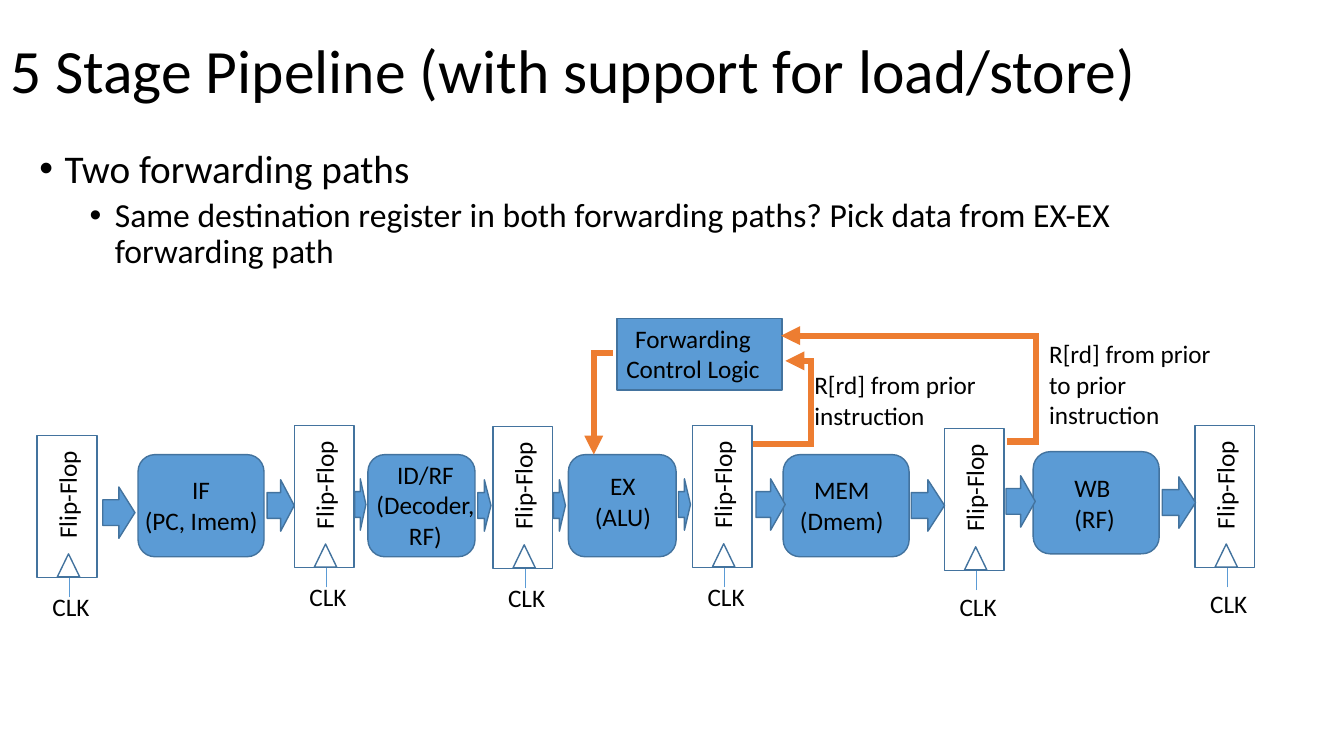
"""Build the slide on forwarding in a five-stage pipeline."""
from lxml.etree import SubElement
from pptx import Presentation
from pptx.dml.color import RGBColor
from pptx.enum.shapes import MSO_CONNECTOR as LINK, MSO_SHAPE as SHAPE
from pptx.enum.text import MSO_ANCHOR as ANCHOR, MSO_AUTO_SIZE as FIT, PP_ALIGN as ALIGN
from pptx.oxml.ns import qn
from pptx.util import Pt

FONT = "Calibri"
BLACK, BLUE, OUTLINE, ORANGE = "000000", "5B9BD5", "43739E", "ED7D31"
FLOP_WIDTH, FLOP_HEIGHT = 42.7, 101.6
STAGE_HEIGHT, ARROW_HEIGHT = 73, 36.7


def color(value):
    """Turn a hex string into a colour."""
    return RGBColor.from_string(value)


def place(item, left, top, width, height):
    """Set the position and size of an element in points."""
    item.left, item.top = Pt(left), Pt(top)
    item.width, item.height = Pt(width), Pt(height)


class Drawing:
    """Hold the style and the current slide."""

    def __init__(self, slide):
        """Keep the slide that receives the elements."""
        self.slide = slide
        self.shapes = slide.shapes

    def format(self, para, size, align=ALIGN.LEFT):
        """Apply font and alignment to a paragraph."""
        para.alignment = align
        for span in para.runs:
            span.font.name, span.font.size = FONT, Pt(size)
            span.font.color.rgb = color(BLACK)

    def title(self, text, *bounds):
        """Fill the title placeholder."""
        box = self.shapes.title
        place(box, *bounds)
        frame = box.text_frame
        frame.text = text
        frame.auto_size, frame.vertical_anchor = FIT.NONE, ANCHOR.MIDDLE
        frame.paragraphs[0].line_spacing = 0.9
        self.format(frame.paragraphs[0], 44)

    def bullets(self, items, *bounds):
        """Fill the body placeholder with (text, level, size, gap) items."""
        box = self.slide.placeholders[1]
        place(box, *bounds)
        frame = box.text_frame
        frame.text = "\n".join(item[0] for item in items)
        frame.auto_size, frame.vertical_anchor = FIT.NONE, ANCHOR.TOP
        for para, (_, level, size, gap) in zip(frame.paragraphs, items):
            para.level, para.line_spacing, para.space_before = level, 0.9, Pt(gap)
            self.format(para, size)
            properties = para._p.get_or_add_pPr()
            properties.set("marL", str(Pt(18 + 36 * level)))
            properties.set("indent", str(Pt(-18)))
            SubElement(properties, qn("a:buFont")).set("typeface", "Arial")
            SubElement(properties, qn("a:buChar")).set("char", "•")

    def label(self, text, *bounds, align=ALIGN.LEFT, wrap=False, rotation=0):
        """Add a text box."""
        box = self.shapes.add_textbox(*map(Pt, bounds))
        box.rotation = rotation
        frame = box.text_frame
        frame.text = text
        frame.word_wrap, frame.auto_size = wrap, FIT.SHAPE_TO_FIT_TEXT
        for para in frame.paragraphs:
            self.format(para, 18, align)

    def shape(self, kind, *bounds, fill=None):
        """Add an outlined preset shape."""
        shape = self.shapes.add_shape(kind, *map(Pt, bounds))
        shape.shadow.inherit = False
        shape.line.color.rgb, shape.line.width = color(OUTLINE), Pt(1)
        if fill:
            shape.fill.solid()
            shape.fill.fore_color.rgb = color(fill)
        else:
            shape.fill.background()

    def line(self, *ends, kind=LINK.STRAIGHT, hue=BLUE, width=0.5):
        """Add a connector without a shadow."""
        link = self.shapes.add_connector(kind, *map(Pt, ends))
        link.line.color.rgb, link.line.width = color(hue), Pt(width)
        SubElement(link._element.spPr, qn("a:effectLst"))
        return link

    def forward(self, *ends, bend, turn=0):
        """Add a thick elbow arrow whose bend is a share of its width."""
        link = self.line(*ends, kind=LINK.ELBOW, hue=ORANGE, width=4.5)
        properties = link._element.spPr
        outline = link.line._get_or_add_ln()
        SubElement(outline, qn("a:miter")).set("lim", "800000")
        SubElement(outline, qn("a:tailEnd")).set("type", "triangle")
        guides = properties.find(qn("a:prstGeom")).get_or_add_avLst()
        guide = SubElement(guides, qn("a:gd"))
        guide.set("name", "adj1")
        guide.set("fmla", f"val {round(bend * 100000)}")
        if turn:
            properties.find(qn("a:xfrm")).set("rot", str(turn * 60000))

    def flip_flop(self, left, top, clock_gap):
        """Add a flip-flop with its clock input."""
        middle, bottom = left + FLOP_WIDTH / 2, top + FLOP_HEIGHT
        self.shape(SHAPE.RECTANGLE, left, top, FLOP_WIDTH, FLOP_HEIGHT)
        self.shape(SHAPE.ISOSCELES_TRIANGLE, middle - 7, bottom - 17, 16, 16.5)
        self.label("Flip-Flop", middle - 38.8, top + 27.6, 77.6, 29.1, rotation=270)
        self.line(middle + 1.5, bottom + 14, middle + 1.5, bottom)
        self.label("CLK", left + 3.7, top + clock_gap, 41.8, 29.1)


deck = Presentation()
deck.slide_width, deck.slide_height = Pt(960), Pt(540)
page = Drawing(deck.slides.add_slide(deck.slide_layouts[1]))

page.title("5 Stage Pipeline (with support for load/store)", 0, 0, 828, 104.4)
page.bullets([
    ("Two forwarding paths", 0, 28, 10),
    ("Same destination register in both forwarding paths? "
     "Pick data from EX-EX forwarding path", 1, 24, 5),
], 20.9, 103, 865.4, 342.7)

STAGES = [
    (98.6, 324.7, 90, "IF\n(PC, Imem)", (95.8, 335.5, 95.8, 51), ALIGN.CENTER, False),
    (262.8, 324.7, 76.5, "ID/RF\n(Decoder, RF)", (260, 324.7, 87.8, 72.7), ALIGN.CENTER, True),
    (406, 324.7, 77, "EX\n(ALU)", (417.6, 332.6, 54.7, 51), ALIGN.CENTER, False),
    (559.4, 324.7, 90, "MEM\n(Dmem)", (563.8, 335.5, 74.9, 51), ALIGN.CENTER, False),
    (738, 322.6, 90, "WB\n(RF)", (760.3, 334, 43.9, 51), ALIGN.LEFT, False),
]
for left, top, width, name, bounds, align, wrap in STAGES:
    page.shape(SHAPE.ROUNDED_RECTANGLE, left, top, width, STAGE_HEIGHT, fill=BLUE)
    page.label(name, *bounds, align=align, wrap=wrap)

FLIP_FLOPS = [(26.6, 311, 108), (210.2, 304, 108), (352.1, 304.6, 108),
              (494.6, 303.8, 108), (674.6, 306, 113), (853.6, 304, 113)]
for flip_flop in FLIP_FLOPS:
    page.flip_flop(*flip_flop)

STAGE_ARROWS = [(73.4, 347.8, 23), (190.8, 342.7, 19.4), (253.4, 342, 8),
                (341.3, 342.7, 9.4), (395.3, 342.7, 8.6), (484.6, 342, 8.6),
                (540, 342, 20.9), (650.9, 342.7, 23.8), (718.6, 339.8, 20.9),
                (830.2, 340.6, 23.8)]
for left, top, width in STAGE_ARROWS:
    page.shape(SHAPE.RIGHT_ARROW, left, top, width, ARROW_HEIGHT, fill=BLUE)

page.shape(SHAPE.RECTANGLE, 440.6, 227.5, 118, 51, fill=BLUE)
page.label("Forwarding Control Logic", 435.6, 227.5, 118.8, 51, align=ALIGN.CENTER, wrap=True)
page.forward(538, 317, 561, 257.8, bend=1.8)
page.forward(719.3, 315.4, 558, 239.8, bend=-0.13)
page.forward(394.6, 281.5, 467.3, 295.2, bend=0, turn=90)
page.label("R[rd] from prior instruction", 574.6, 260.6, 136.8, 51, wrap=True)
page.label("R[rd] from prior to prior instruction", 742.3, 238.3, 136.8, 72.7, wrap=True)

deck.save("out.pptx")
